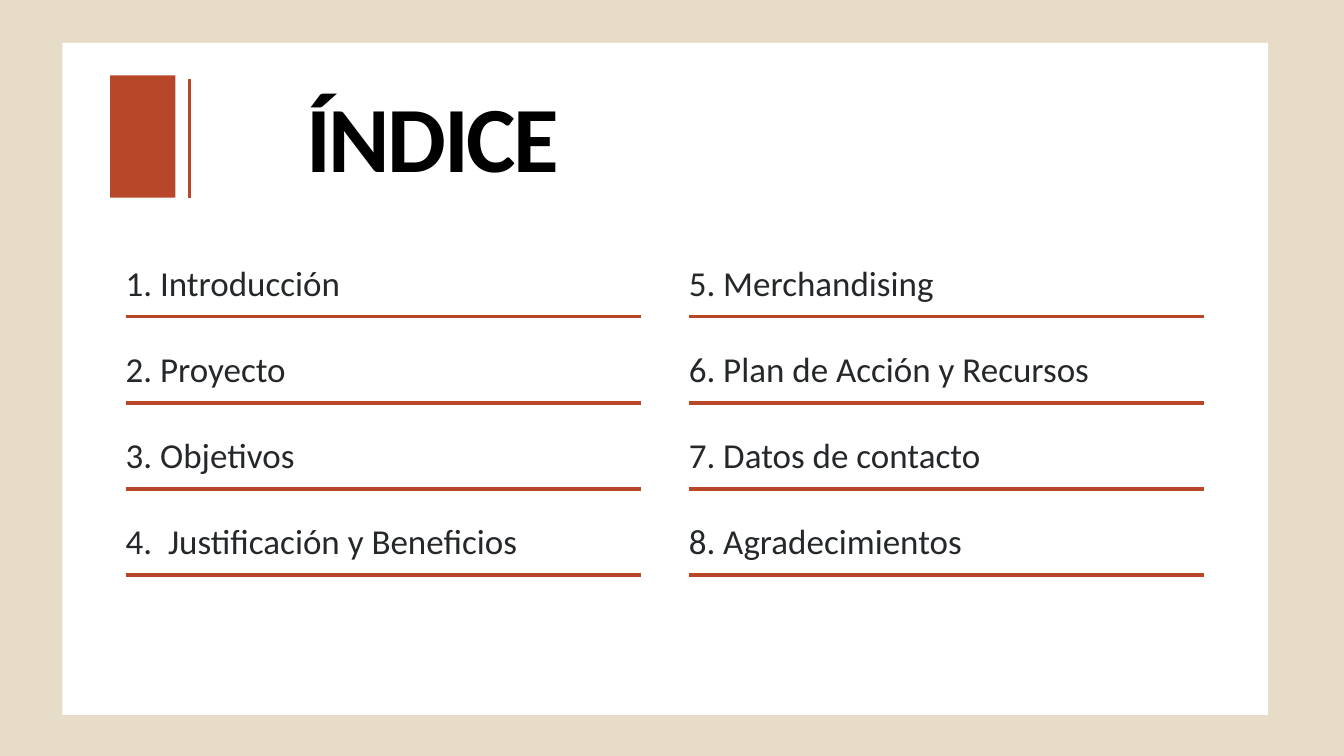
import pptx
import pptx.dml.color
import pptx.enum.shapes
import pptx.enum.text
import pptx.oxml
import pptx.oxml.ns
import pptx.util

Inches, Pt = pptx.util.Inches, pptx.util.Pt
RGBColor = pptx.dml.color.RGBColor
Align = pptx.enum.text.PP_ALIGN

SAND = RGBColor(0xE6, 0xDC, 0xC8)
WHITE = RGBColor(0xFF, 0xFF, 0xFF)
RUST = RGBColor(0xB8, 0x47, 0x2A)
INK = RGBColor(0x25, 0x28, 0x2A)
BLACK = RGBColor(0, 0, 0)

FONT = "Calibri"
LEAD = 66.3  # line height of an entry, in points
PITCH = 1.283  # distance from one entry to the next, in inches

LEFT = ["1. Introducción", "2. Proyecto", "3. Objetivos",
        "4.  Justificación y Beneficios"]
RIGHT = ["5. Merchandising", "6. Plan de Acción y Recursos",
         "7. Datos de contacto", "8. Agradecimientos"]


def place(shape, x, y, w, h):
    shape.left, shape.top = Inches(x), Inches(y)
    shape.width, shape.height = Inches(w), Inches(h)


def write(para, text, *, size, color, lead, bold=False, align=Align.LEFT,
          before=0, track=None):
    """Fill a paragraph, without a bullet; sizes are in points."""
    props = para._p.get_or_add_pPr()
    props.set("marL", "0")
    props.set("indent", "0")
    props.append(pptx.oxml.parse_xml(
        "<a:buNone %s/>" % pptx.oxml.ns.nsdecls("a")))
    para.alignment = align
    para.line_spacing = Pt(lead)
    para.space_before, para.space_after = Pt(before), Pt(0)
    run = para.add_run()
    run.text = text
    font = run.font
    font.name, font.size, font.bold = FONT, Pt(size), bold
    font.color.rgb = color
    if track is not None:
        run._r.get_or_add_rPr().set("spc", str(round(track * 100)))


def frame(shape):
    """Clear the margins of a placeholder and start its text at the top."""
    text = shape.text_frame
    text.margin_left = text.margin_right = 0
    text.margin_top = text.margin_bottom = 0
    text.word_wrap = True
    text.auto_size = pptx.enum.text.MSO_AUTO_SIZE.NONE
    text.vertical_anchor = pptx.enum.text.MSO_ANCHOR.TOP
    return text


def block(slide, x, y, w, h, color):
    shape = slide.shapes.add_shape(
        pptx.enum.shapes.MSO_SHAPE.RECTANGLE,
        Inches(x), Inches(y), Inches(w), Inches(h))
    shape.shadow.inherit = False
    shape.fill.solid()
    shape.fill.fore_color.rgb = color
    shape.line.fill.background()
    return shape


def rule(slide, x1, y1, x2, y2):
    line = slide.shapes.add_connector(
        pptx.enum.shapes.MSO_CONNECTOR.STRAIGHT,
        Inches(x1), Inches(y1), Inches(x2), Inches(y2))
    line.line.color.rgb = RUST
    line.line.width = Pt(4)
    line.element.spPr.append(pptx.oxml.parse_xml(
        "<a:effectLst %s/>" % pptx.oxml.ns.nsdecls("a")))


def page(slide, x, y, w, h):
    """Sand background with a white sheet behind everything."""
    fill = slide.background.fill
    fill.solid()
    fill.fore_color.rgb = SAND
    sheet = block(slide, x, y, w, h, WHITE)
    slide.shapes.title.element.addprevious(sheet.element)


def header(slide, x, y, w, h):
    block(slide, x, y, 0.97, h, RUST)
    rule(slide, x + 1.18, y + h, x + 1.18, y + 0.06)
    title = slide.shapes.title
    place(title, x + 0.99, y + 0.18, w - 0.99, 1.71)
    write(frame(title).paragraphs[0], "ÍNDICE", size=100, color=BLACK,
          lead=111, bold=True, align=Align.CENTER, track=-2.6)


def column(slide, holder, items, x, y, w):
    """A list with a rule under each entry."""
    place(holder, x, y, w, PITCH * len(items))
    text = frame(holder)
    for i, item in enumerate(items):
        para = text.add_paragraph() if i else text.paragraphs[0]
        write(para, item, size=37.5, color=INK, lead=LEAD,
              before=PITCH * 72 - LEAD if i else 0)
        low = y + 1.12 + i * PITCH
        rule(slide, x, low, x + w, low)


def main():
    deck = pptx.Presentation()
    deck.slide_width, deck.slide_height = Inches(20), Inches(11.25)
    slide = deck.slides.add_slide(deck.slide_layouts[3])
    page(slide, 0.93, 0.64, 17.94, 10)
    header(slide, 1.64, 1.12, 8.61, 1.82)
    holders = slide.placeholders
    column(slide, holders[1], LEFT, 1.87, 3.59, 7.67)
    column(slide, holders[2], RIGHT, 10.25, 3.59, 7.67)
    deck.save("out.pptx")


if __name__ == "__main__":
    main()
